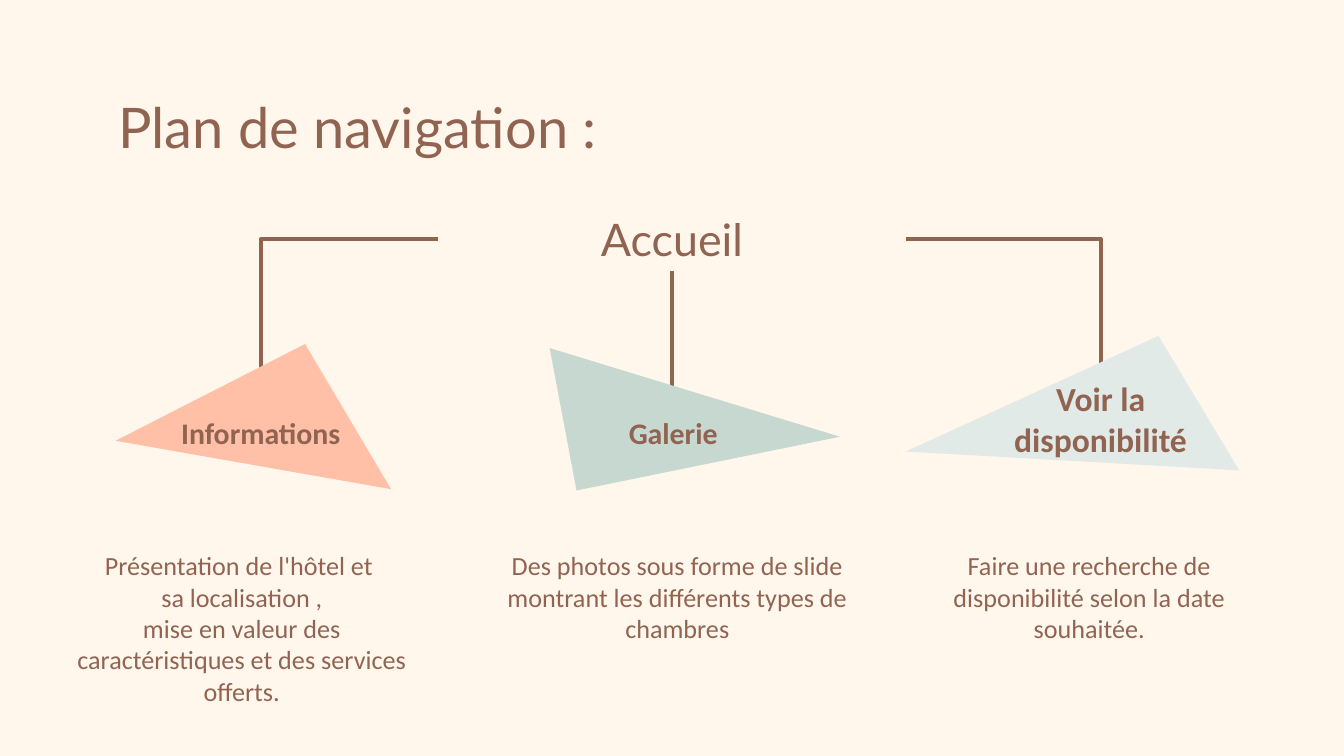
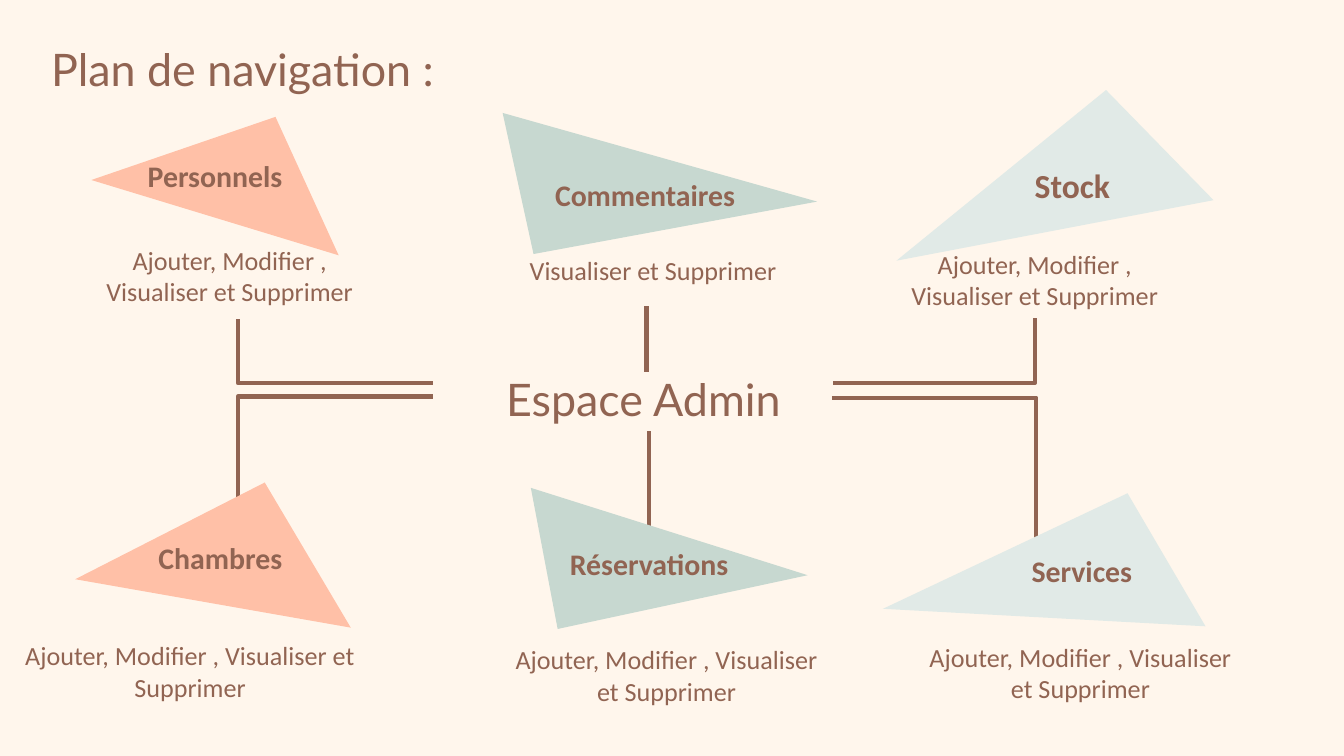
from lxml import etree
from pptx import Presentation
from pptx.dml.color import RGBColor
from pptx.enum.shapes import MSO_CONNECTOR
from pptx.enum.text import MSO_ANCHOR, MSO_AUTO_SIZE, PP_ALIGN
from pptx.oxml.ns import qn
from pptx.util import Pt

PX = 9144  # 100 px to the inch
SLIDE_WIDTH = 1000 * PX
SLIDE_HEIGHT = SLIDE_WIDTH * 9 // 16
COLORS = {"cream": "FFF6EC", "brown": "916452", "coral": "FFC0A7",
          "sage": "C7D8D0", "mist": "E1EAE7"}
COLORS = {name: RGBColor.from_string(value) for name, value in COLORS.items()}
TITLE_FONT, BODY_FONT = "Lato", "Calibri"
LEFT, CENTER = PP_ALIGN.LEFT, PP_ALIGN.CENTER
TOP, MIDDLE = MSO_ANCHOR.TOP, MSO_ANCHOR.MIDDLE
FIXED, GROW = MSO_AUTO_SIZE.NONE, MSO_AUTO_SIZE.SHAPE_TO_FIT_TEXT
STRAIGHT, ELBOW = MSO_CONNECTOR.STRAIGHT, MSO_CONNECTOR.ELBOW
TITLE_ONLY = 5

CRUD = ["Ajouter, Modifier , Visualiser et Supprimer"]

# Boxes are left, top, width, height; notes with True keep a fixed height.
SLIDES = [
    {
        "title": ((78, 59, 844, 63), 30),
        "root": ("Accueil", (326, 153, 348, 49)),
        "elbows": [(674, 178, 819, 287), (326, 178, 194, 297)],
        "stems": [(500, 202, 500, 297)],
        "triangles": [
            ("mist", [(674, 336), (862, 250), (922, 350)]),
            ("sage", [(625, 325), (429, 365), (409, 259)]),
            ("coral", [(86, 328), (227, 256), (291, 364)]),
        ],
        "labels": [
            ("Informations", (97, 297, 194, 49), 16),
            ("Galerie", (391, 297, 220, 49), 16),
            ("Voir la disponibilité", (709, 287, 220, 49), 18),
        ],
        "notes": [
            (["Présentation de l'hôtel et ", "sa localisation ,",
              "mise en valeur des caractéristiques et des services offerts."],
             (33, 404, 294, 151), False),
            (["Des photos sous forme de slide montrant les différents types de chambres"],
             (338, 404, 332, 81), False),
            (["Faire une recherche de disponibilité selon la date souhaitée."],
             (674, 404, 273, 81), False),
        ],
    },
    {
        "title": ((28, 21, 844, 63), 24),
        "root": ("Espace Admin ", (309, 272, 348, 49)),
        "elbows": [(619, 296, 771, 407), (322, 295, 177, 388),
                   (620, 285, 770, 237), (322, 285, 177, 237)],
        "stems": [(483, 321, 483, 395), (481, 228, 481, 277)],
        "triangles": [
            ("mist", [(657, 453), (839, 367), (897, 466)]),
            ("sage", [(601, 428), (415, 468), (395, 363)]),
            ("coral", [(56, 431), (197, 359), (261, 467)]),
            ("coral", [(68, 134), (205, 87), (252, 190)]),
            ("mist", [(667, 194), (823, 67), (903, 149)]),
            ("sage", [(608, 150), (397, 189), (374, 84)]),
        ],
        "labels": [
            ("Personnels", (50, 106, 220, 49), 16),
            ("Commentaires", (370, 120, 220, 49), 16),
            ("Stock", (688, 113, 220, 49), 18),
            ("Chambres", (54, 390, 220, 49), 16),
            ("Réservations", (373, 395, 220, 49), 16),
            ("Services", (695, 400, 220, 49), 16),
        ],
        "notes": [
            (CRUD, (58, 177, 226, 57), False),
            (["Visualiser et Supprimer"], (367, 184, 238, 34), False),
            (CRUD, (651, 180, 238, 57), False),
            (CRUD, (-22, 471, 327, 57), False),
            (CRUD, (370, 469, 252, 80), True),
            (CRUD, (678, 467, 252, 80), True),
        ],
    },
]


def write_text(shape, lines, font, size, bold=False, align=CENTER,
               anchor=MIDDLE, inset=10, fit=FIXED):
    """Fill a text shape, one paragraph a line, in the brown of the deck."""
    frame = shape.text_frame
    frame.word_wrap = True
    frame.auto_size = fit
    frame.vertical_anchor = anchor
    frame.margin_left = frame.margin_right = 10 * PX
    frame.margin_top = frame.margin_bottom = inset * PX
    for index, line in enumerate(lines):
        paragraph = frame.add_paragraph() if index else frame.paragraphs[0]
        paragraph.alignment = align
        run = paragraph.add_run()
        run.text = line
        run.font.name = font
        run.font.size = Pt(size)
        run.font.bold = bold
        run.font.color.rgb = COLORS["brown"]


def add_link(slide, kind, ends):
    connector = slide.shapes.add_connector(kind, *(value * PX for value in ends))
    connector.line.color.rgb = COLORS["brown"]
    connector.line.width = Pt(2.25)
    properties = connector._element.spPr
    etree.SubElement(properties, qn("a:effectLst"))
    if kind == ELBOW:
        # One bend: across first, then up or down.
        properties.find(qn("a:prstGeom")).set("prst", "bentConnector2")
        frame = properties.find(qn("a:xfrm"))
        if frame.flipH:
            # A mirrored elbow is written as a half turn and a vertical flip.
            frame.flipH = False
            frame.flipV = not frame.flipV
            frame.set("rot", "10800000")


presentation = Presentation()
presentation.slide_width = SLIDE_WIDTH
presentation.slide_height = SLIDE_HEIGHT
background = presentation.slide_master.background.fill
background.solid()
background.fore_color.rgb = COLORS["cream"]

for content in SLIDES:
    slide = presentation.slides.add_slide(presentation.slide_layouts[TITLE_ONLY])
    shapes = slide.shapes

    title = shapes.title
    box, size = content["title"]
    title.left, title.top, title.width, title.height = (value * PX for value in box)
    write_text(title, ["Plan de navigation :"], TITLE_FONT, size,
               align=LEFT, anchor=TOP)

    text, box = content["root"]
    root = shapes.add_textbox(*(value * PX for value in box))
    write_text(root, [text], TITLE_FONT, 24)

    for ends in content["elbows"]:
        add_link(slide, ELBOW, ends)
    for ends in content["stems"]:
        add_link(slide, STRAIGHT, ends)

    for color, (start, *corners) in content["triangles"]:
        builder = shapes.build_freeform(*start, scale=PX)
        builder.add_line_segments(corners, close=True)
        triangle = builder.convert_to_shape()
        triangle.shadow.inherit = False
        triangle.fill.solid()
        triangle.fill.fore_color.rgb = COLORS[color]
        triangle.line.fill.background()

    for text, box, size in content["labels"]:
        label = shapes.add_textbox(*(value * PX for value in box))
        write_text(label, [text], BODY_FONT, size, bold=True)

    for lines, box, fixed in content["notes"]:
        note = shapes.add_textbox(*(value * PX for value in box))
        write_text(note, lines, BODY_FONT, 14, anchor=TOP,
                   inset=10 if fixed else 5, fit=FIXED if fixed else GROW)

presentation.save("out.pptx")
